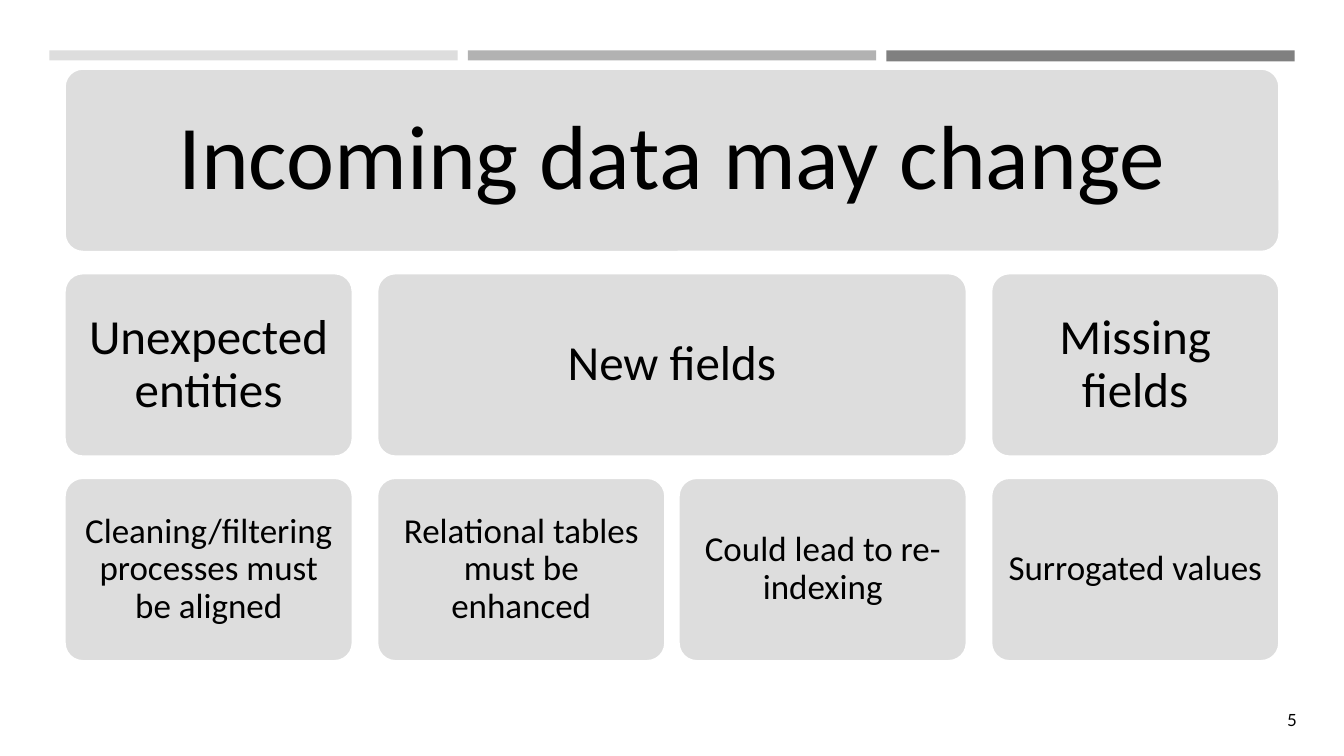
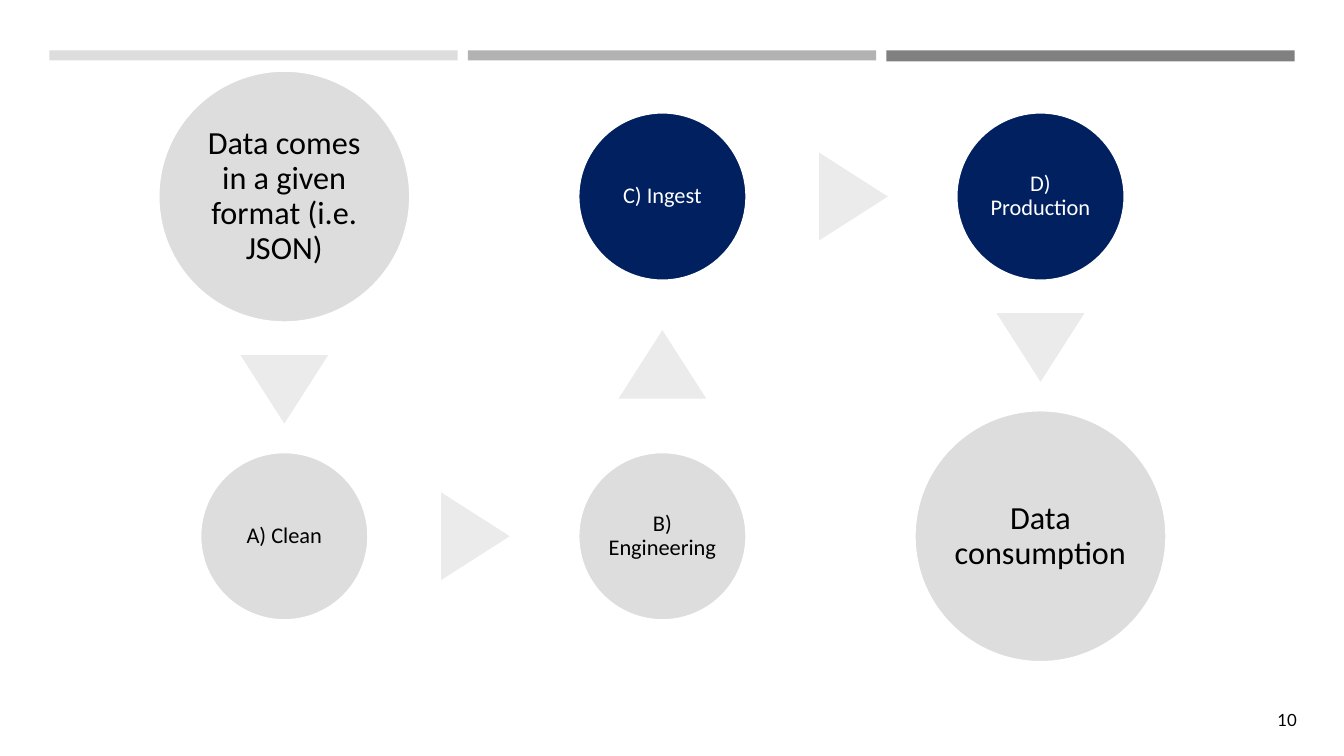
from dataclasses import dataclass
from itertools import pairwise

from pptx import Presentation
from pptx import util as u
from pptx.dml.color import RGBColor
from pptx.enum import shapes, text

# Shared look
LIGHT, MID, DARK = "DDDDDD", "B2B2B2", "808080"
ARROW, NAVY, WHITE, BLACK = "EBEBEB", "002060", "FFFFFF", "000000"
BODY_FONT, NUMBER_FONT = "Calibri", "Lato"
BAND_LEFT, BAND_TOP, BAND_W, BAND_STEP = 0.49, 0.5, 4.05, 4.15
KIND = shapes.MSO_SHAPE

# Box grid of the first slide
GRID_LEFT, GRID_TOP = 0.64, 0.68
BOX_W, BOX_H, ROW_STEP = 2.86, 1.82, 2.03
COLUMN_GAPS = [0.24, 0.13, 0.24]

# Circle grid of the second slide
FLOW_LEFT, FLOW_TOP = 2.82, 1.95
FLOW_COL, FLOW_ROW = 3.75, 3.37
ARROW_W, ARROW_H, ARROW_SHIFT = 0.87, 0.68, 0.02


@dataclass(frozen=True)
class Box:
    label: str
    row: int
    col: int
    span: int = 1


@dataclass(frozen=True)
class Step:
    label: str
    col: int
    row: int
    diameter: float = 1.67
    size: int = 16
    fill: str = LIGHT
    color: str = BLACK

    @property
    def center(self) -> tuple[float, float]:
        return FLOW_LEFT + self.col * FLOW_COL, FLOW_TOP + self.row * FLOW_ROW


BOXES = [
    Box("Incoming data may change", 0, 0, 4),
    Box("Unexpected entities", 1, 0),
    Box("New fields", 1, 1, 2),
    Box("Missing fields", 1, 3),
    Box("Cleaning/filtering processes must be aligned", 2, 0),
    Box("Relational tables must be enhanced", 2, 1),
    Box("Could lead to re-indexing", 2, 2),
    Box("Surrogated values", 2, 3),
]
ROW_SIZES = [65, 35, 25]
ROW_INSETS = [0.27, 0.15, 0.1]

STEPS = [
    Step("Data comes in a given format (i.e. JSON)", 0, 0, 2.5, 23),
    Step("A) Clean", 0, 1),
    Step("B) Engineering", 1, 1),
    Step("C) Ingest", 1, 0, fill=NAVY, color=WHITE),
    Step("D) Production", 2, 0, fill=NAVY, color=WHITE),
    Step("Data consumption", 2, 1, 2.5, 23),
]


def rgb(value: str) -> RGBColor:
    return RGBColor.from_string(value)


def assign(target, values: dict) -> None:
    for name, value in values.items():
        setattr(target, name, value)


def add_shape(s, kind, left: float, top: float, width: float, height: float,
              fill: str, outlined: bool = False):
    sp = s.shapes.add_shape(kind, *map(u.Inches, (left, top, width, height)))
    sp.shadow.inherit = False
    sp.fill.solid()
    sp.fill.fore_color.rgb = rgb(fill)
    if outlined:
        sp.line.color.rgb = rgb(WHITE)
        sp.line.width = u.Pt(1.75)
    else:
        sp.line.fill.background()
    return sp


def write(sp, label: str, size: int, inset: float, color: str = BLACK,
          font: str = BODY_FONT, align=text.PP_ALIGN.CENTER,
          spacing: float = 0.9) -> None:
    tf = sp.text_frame
    margins = {f"margin_{side}": u.Inches(inset)
               for side in ("left", "top", "right", "bottom")}
    assign(tf, margins | {"word_wrap": True,
                          "vertical_anchor": text.MSO_ANCHOR.MIDDLE})
    p = tf.paragraphs[0]
    assign(p, {"alignment": align, "line_spacing": spacing})
    r = p.add_run()
    r.text = label
    assign(r.font, {"name": font, "size": u.Pt(size)})
    r.font.color.rgb = rgb(color)


def add_slide(prs, number: int):
    s = prs.slides.add_slide(prs.slide_layouts[6])
    # Bands across the top
    for i, (fill, height) in enumerate([(LIGHT, 0.1), (MID, 0.1), (DARK, 0.11)]):
        add_shape(s, KIND.RECTANGLE, BAND_LEFT + i * BAND_STEP, BAND_TOP,
                  BAND_W, height, fill)
    # Page number
    sp = s.shapes.add_textbox(*map(u.Inches, (12.35, 6.94, 0.61, 0.4)))
    write(sp, str(number), 12, 0.1, font=NUMBER_FONT,
          align=text.PP_ALIGN.RIGHT, spacing=1.0)
    return s


def draw_box(s, box: Box) -> None:
    left = GRID_LEFT + box.col * BOX_W + sum(COLUMN_GAPS[:box.col])
    width = box.span * BOX_W + sum(COLUMN_GAPS[box.col:box.col + box.span - 1])
    sp = add_shape(s, KIND.ROUNDED_RECTANGLE, left, GRID_TOP + box.row * ROW_STEP,
                   width, BOX_H, LIGHT, outlined=True)
    sp.adjustments[0] = 0.1
    write(sp, box.label, ROW_SIZES[box.row], ROW_INSETS[box.row])


def draw_step(s, step: Step) -> None:
    x, y = step.center
    d = step.diameter
    sp = add_shape(s, KIND.OVAL, x - d / 2, y - d / 2, d, d, step.fill,
                   outlined=True)
    write(sp, step.label, step.size, 0.02, step.color)


def draw_arrow(s, start: Step, end: Step) -> None:
    """Place a triangle just past the middle of the gap between two circles."""
    (x1, y1), (x2, y2) = start.center, end.center
    dx, dy = end.col - start.col, end.row - start.row
    shift = (start.diameter - end.diameter) / 4 + ARROW_SHIFT
    x = (x1 + x2) / 2 + dx * shift
    y = (y1 + y2) / 2 + dy * shift
    sp = add_shape(s, KIND.ISOSCELES_TRIANGLE, x - ARROW_W / 2, y - ARROW_H / 2,
                   ARROW_W, ARROW_H, ARROW)
    sp.rotation = {(0, 1): 180, (1, 0): 90, (0, -1): 0}[dx, dy]


def main() -> None:
    prs = Presentation()
    assign(prs, {"slide_width": u.Inches(13.33), "slide_height": u.Inches(7.5)})

    # Changing data
    s = add_slide(prs, 5)
    for box in BOXES:
        draw_box(s, box)

    # Data flow
    s = add_slide(prs, 10)
    for step in STEPS:
        draw_step(s, step)
    for start, end in pairwise(STEPS):
        draw_arrow(s, start, end)

    prs.save("out.pptx")


if __name__ == "__main__":
    main()
